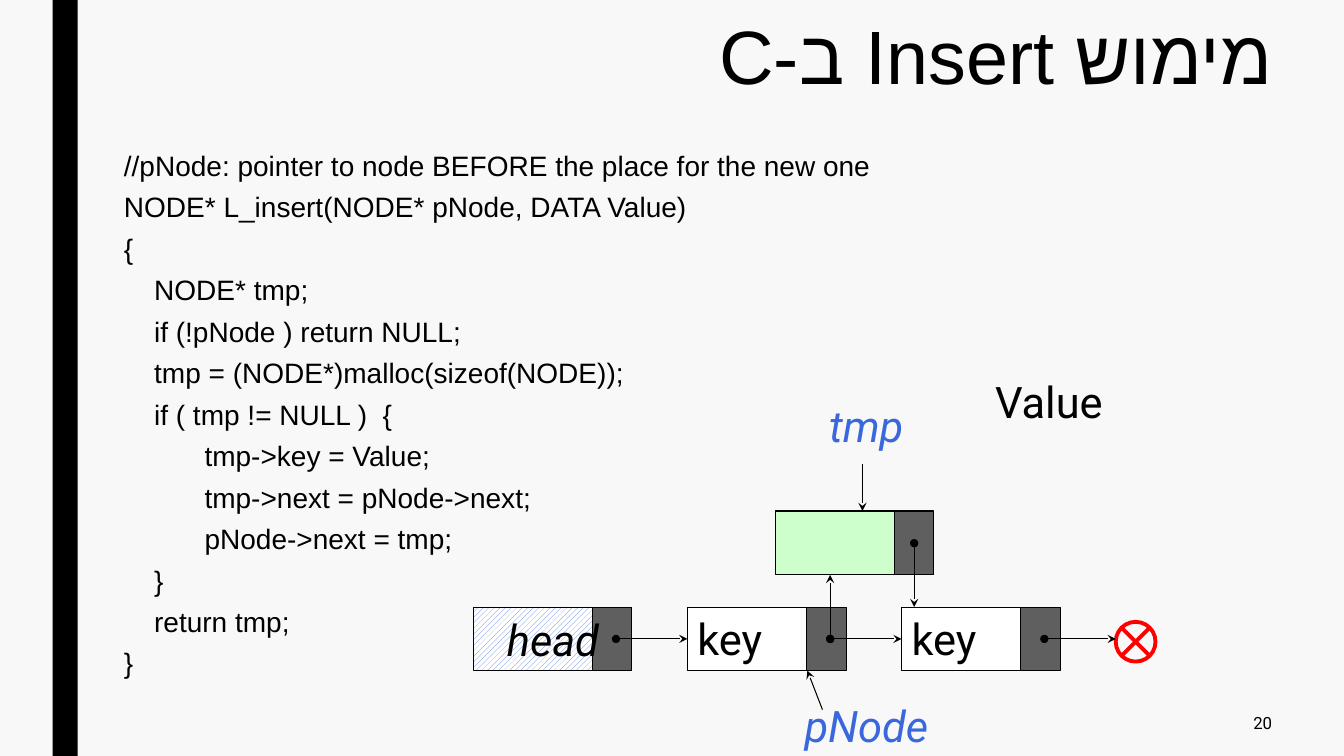
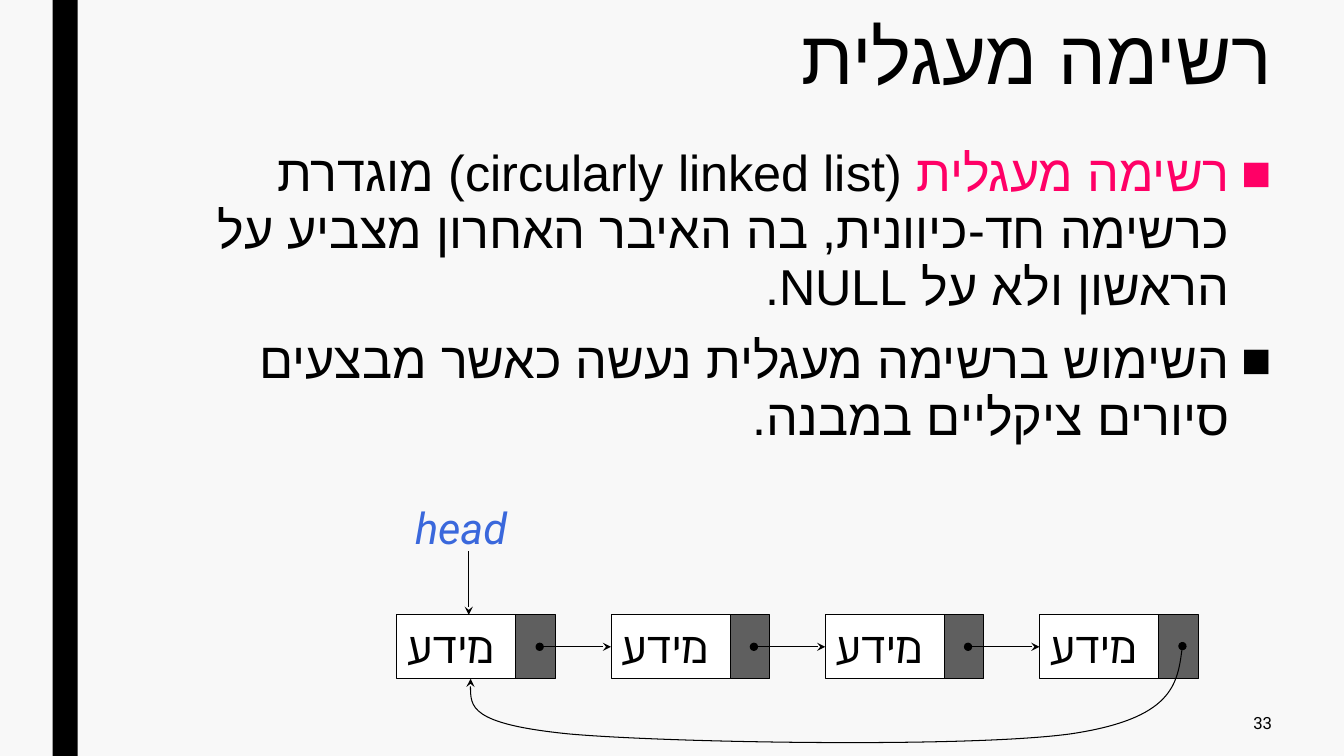
from lxml import etree
from pptx import Presentation
from pptx.dml.color import RGBColor
from pptx.enum.dml import MSO_PATTERN
from pptx.enum.shapes import MSO_CONNECTOR, MSO_SHAPE
from pptx.enum.text import MSO_ANCHOR, PP_ALIGN
from pptx.oxml.ns import qn
from pptx.util import Pt

STRAIGHT = MSO_CONNECTOR.STRAIGHT
RECT, JUNCTION = MSO_SHAPE.RECTANGLE, MSO_SHAPE.FLOWCHART_SUMMING_JUNCTION
LEFT, CENTER, RIGHT = PP_ALIGN.LEFT, PP_ALIGN.CENTER, PP_ALIGN.RIGHT
TOP, MIDDLE, BOTTOM = MSO_ANCHOR.TOP, MSO_ANCHOR.MIDDLE, MSO_ANCHOR.BOTTOM
DIAGONAL = MSO_PATTERN.WIDE_UPWARD_DIAGONAL

BLACK, WHITE, PAPER, GRAY = "000000", "FFFFFF", "F8F8F8", "5F5F5F"
BLUE, HATCH, GREEN, PINK, RED = "3A68DC", "557DE1", "CCFFCC", "FF0066", "FF0000"
DATA_W, NEXT_W, NODE_H, PITCH, DOT = 85, 28.4, 45.6, 153, 17
LABEL_H = 44.6
rgb = RGBColor.from_string


def add_text(s, text, left, top, width, height, size=31, font="Roboto", color=BLACK,
             italic=False, align=LEFT, anchor=BOTTOM, rtl=False, spacing=None,
             before=0, after=0, hang=0, bullet=None, accent=None):
    tf = s.shapes.add_textbox(Pt(left), Pt(top), Pt(width), Pt(height)).text_frame
    tf.word_wrap = True
    tf.vertical_anchor = anchor
    for i, line in enumerate(text.split("\n")):
        p = tf.add_paragraph() if i else tf.paragraphs[0]
        p.alignment = align
        p.line_spacing = spacing
        p.space_before, p.space_after = Pt(before), Pt(after)
        pPr = p._p.get_or_add_pPr()
        if rtl:
            pPr.set("rtl", "1")
        if hang:
            pPr.set("marL", str(Pt(hang)))
            pPr.set("indent", str(-Pt(hang)))
        if bullet:
            etree.SubElement(pPr, qn("a:buFont")).set("typeface", font)
            etree.SubElement(pPr, qn("a:buChar")).set("char", bullet)
        parts = [(line, color)]
        if accent and line.startswith(accent):
            parts = [(accent, PINK), (line[len(accent):], color)]
        for part, part_color in parts:
            r = p.add_run()
            r.text = part
            r.font.size, r.font.name, r.font.italic = Pt(size), font, italic
            r.font.color.rgb = rgb(part_color)
            etree.SubElement(r._r.get_or_add_rPr(), qn("a:cs")).set("typeface", font)


def set_line(shape, color=BLACK, width=0.75, head=None, tail=None):
    shape.line.color.rgb = rgb(color)
    shape.line.width = Pt(width)
    spPr = shape.element.spPr
    for tag, kind in (("a:headEnd", head), ("a:tailEnd", tail)):
        if kind:
            etree.SubElement(spPr.find(qn("a:ln")), qn(tag)).set("type", kind)
    etree.SubElement(spPr, qn("a:effectLst"))


prs = Presentation()
prs.slide_width, prs.slide_height = Pt(960), Pt(540)
master = prs.slide_master
master.background.fill.solid()
master.background.fill.fore_color.rgb = rgb(PAPER)

slides = []
for title, number in (("מימוש Insert ב-C", "20"), ("רשימה מעגלית", "33")):
    s = prs.slides.add_slide(prs.slide_layouts[6])
    slides.append(s)
    add_text(s, title, 108, 10.8, 807.8, 81.4, size=54, font="Arial", align=RIGHT,
             anchor=TOP, rtl=True, spacing=0.89)
    add_text(s, number, 789.8, 500.4, 126, 31.7, size=12, align=RIGHT, anchor=MIDDLE)
insert, circular = slides

bar = insert.shapes.add_shape(RECT, Pt(37.5), 0, Pt(18), prs.slide_height)
bar.shadow.inherit = False
bar.fill.solid()
bar.fill.fore_color.rgb = rgb(BLACK)
bar.line.fill.background()
master.shapes.element.append(bar.element)

code = """//pNode: pointer to node BEFORE the place for the new one
NODE* L_insert(NODE* pNode, DATA Value)
{
\tNODE* tmp;
\tif (!pNode ) return NULL;
\ttmp = (NODE*)malloc(sizeof(NODE));
\tif ( tmp != NULL )  {
\t\ttmp->key = Value;
\t\ttmp->next = pNode->next;
\t\tpNode->next = tmp;
\t}
\treturn tmp;
}"""
add_text(insert, code, 81.4, 105.1, 807.8, 390.2, size=20, font="Arial", anchor=TOP,
         spacing=0.9, before=6, after=2, hang=21.6)

definition = """רשימה מעגלית (circularly linked list) מוגדרת כרשימה חד-כיוונית, בה האיבר האחרון מצביע על הראשון ולא על NULL.
השימוש ברשימה מעגלית נעשה כאשר מבצעים סיורים ציקליים במבנה."""
add_text(circular, definition, 108, 100.8, 807.8, 390.2, size=36, font="Arial",
         align=RIGHT, anchor=TOP, rtl=True, spacing=0.94, before=10, after=2, hang=30.2,
         bullet="■", accent="רשימה מעגלית")

chains = (
    (insert, 338, 433.6, ((HATCH, None), (WHITE, "key"), (WHITE, "key"))),
    (insert, 553.7, 365, ((GREEN, None),)),
    (circular, 283.5, 439.2, ((WHITE, "מידע"),) * 4),
)
for s, start, top, nodes in chains:
    boxes = []
    for i, (fill, label) in enumerate(nodes):
        left = start + i * PITCH
        for x, width, color in ((left, DATA_W, fill), (left + DATA_W, NEXT_W, GRAY)):
            cell = s.shapes.add_shape(RECT, Pt(x), Pt(top), Pt(width), Pt(NODE_H))
            if color == HATCH:
                cell.fill.patterned()
                cell.fill.pattern = DIAGONAL
                cell.fill.back_color.rgb = rgb(WHITE)
            else:
                cell.fill.solid()
            cell.fill.fore_color.rgb = rgb(color)
            set_line(cell)
            if x == left:
                boxes.append(cell)
        if label:
            add_text(s, label, left, top, DATA_W, LABEL_H)
    for i, box in enumerate(boxes[1:]):
        x, y = start + i * PITCH + DATA_W + DOT, top + NODE_H / 2
        link = s.shapes.add_connector(STRAIGHT, Pt(x), Pt(y), box.left, Pt(y))
        link.end_connect(box, 1)
        set_line(link, head="oval", tail="stealth")

null = insert.shapes.add_shape(JUNCTION, Pt(797), Pt(444.2), Pt(28.4), Pt(28.4))
null.fill.background()
set_line(null, RED, 2.75)

for s, x1, y1, x2, y2, head in (
    (insert, 587.5, 506.9, 576.7, 479, None),
    (insert, 653, 388, 653, 433.6, "oval"),
    (insert, 593, 456.4, 593, 410.6, "oval"),
    (insert, 746, 456.4, 797, 456.4, "oval"),
    (insert, 616, 331.2, 616, 365, None),
    (circular, 334.8, 393.8, 334.8, 439.2, None),
):
    arrow = s.shapes.add_connector(STRAIGHT, Pt(x1), Pt(y1), Pt(x2), Pt(y2))
    set_line(arrow, head=head, tail="stealth")

for s, label, left, top, width, color, italic, align in (
    (insert, "head", 355, 434.2, 90.7, BLACK, True, LEFT),
    (insert, "Value", 695.5, 264.2, 107.3, BLACK, False, CENTER),
    (insert, "pNode", 559.4, 495.4, 118.8, BLUE, True, CENTER),
    (insert, "tmp", 559.4, 281.5, 118.8, BLUE, True, CENTER),
    (circular, "head", 289.4, 354.2, 118.8, BLUE, True, LEFT),
):
    add_text(s, label, left, top, width, LABEL_H, color=color, italic=italic, align=align)

curve_points = (
    (841.2, 487.4), (837.4, 513.4), (764.6, 524.2),
    (691.2, 534.2), (477.4, 530.6), (406.1, 524.2),
    (334.8, 517), (335.5, 501.1), (336.2, 484.8),
)
builder = circular.shapes.build_freeform(Pt(844.6), Pt(461.5))
builder.add_line_segments([(Pt(x), Pt(y)) for x, y in curve_points], close=False)
loop = builder.convert_to_shape()
loop.fill.background()
set_line(loop, head="oval", tail="stealth")
outline = loop.element.find(".//" + qn("a:path"))
segments = outline.findall(qn("a:lnTo"))
for i in range(0, len(segments), 3):
    curve = etree.SubElement(outline, qn("a:cubicBezTo"))
    for segment in segments[i:i + 3]:
        curve.append(segment[0])
        outline.remove(segment)

prs.save("out.pptx")
